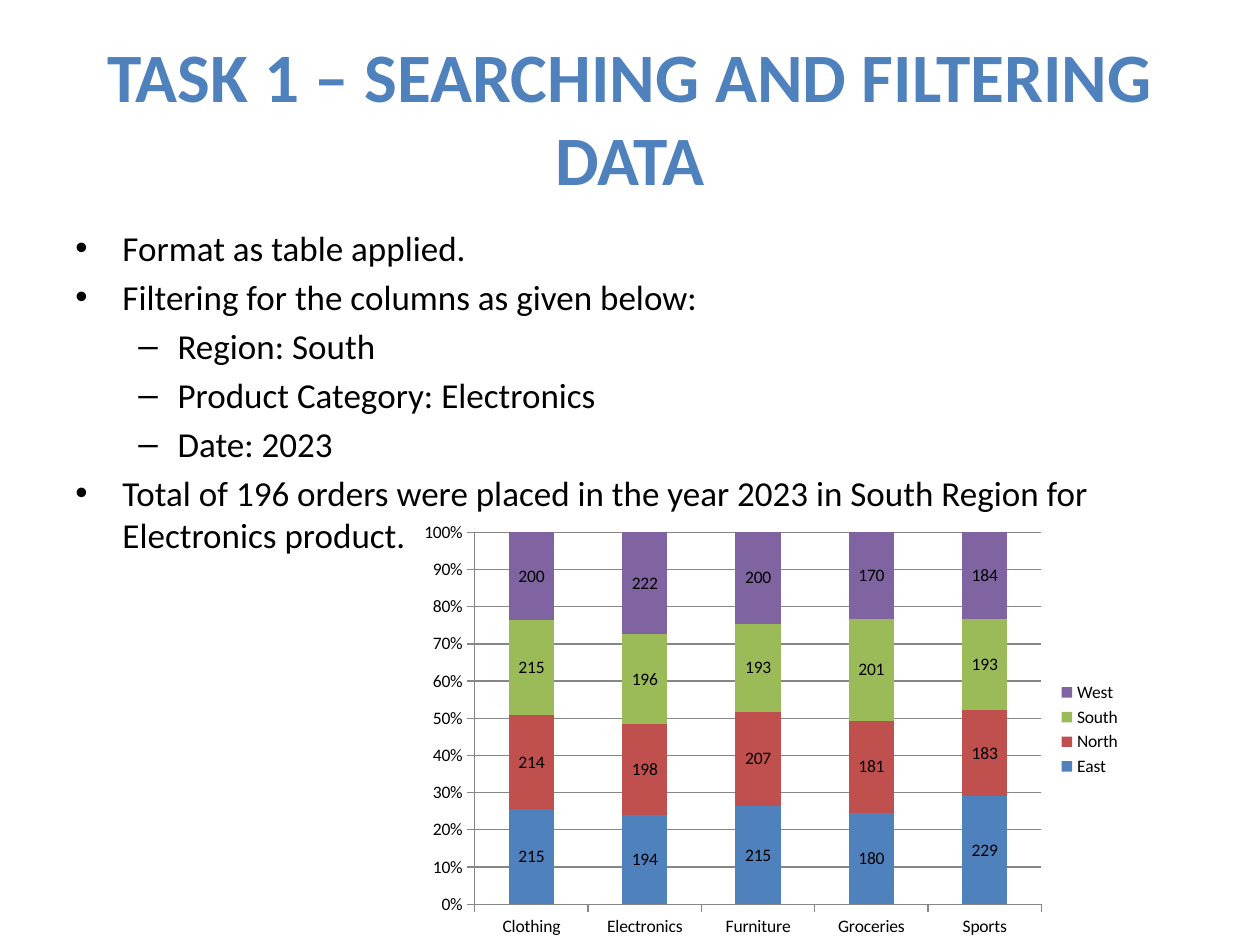
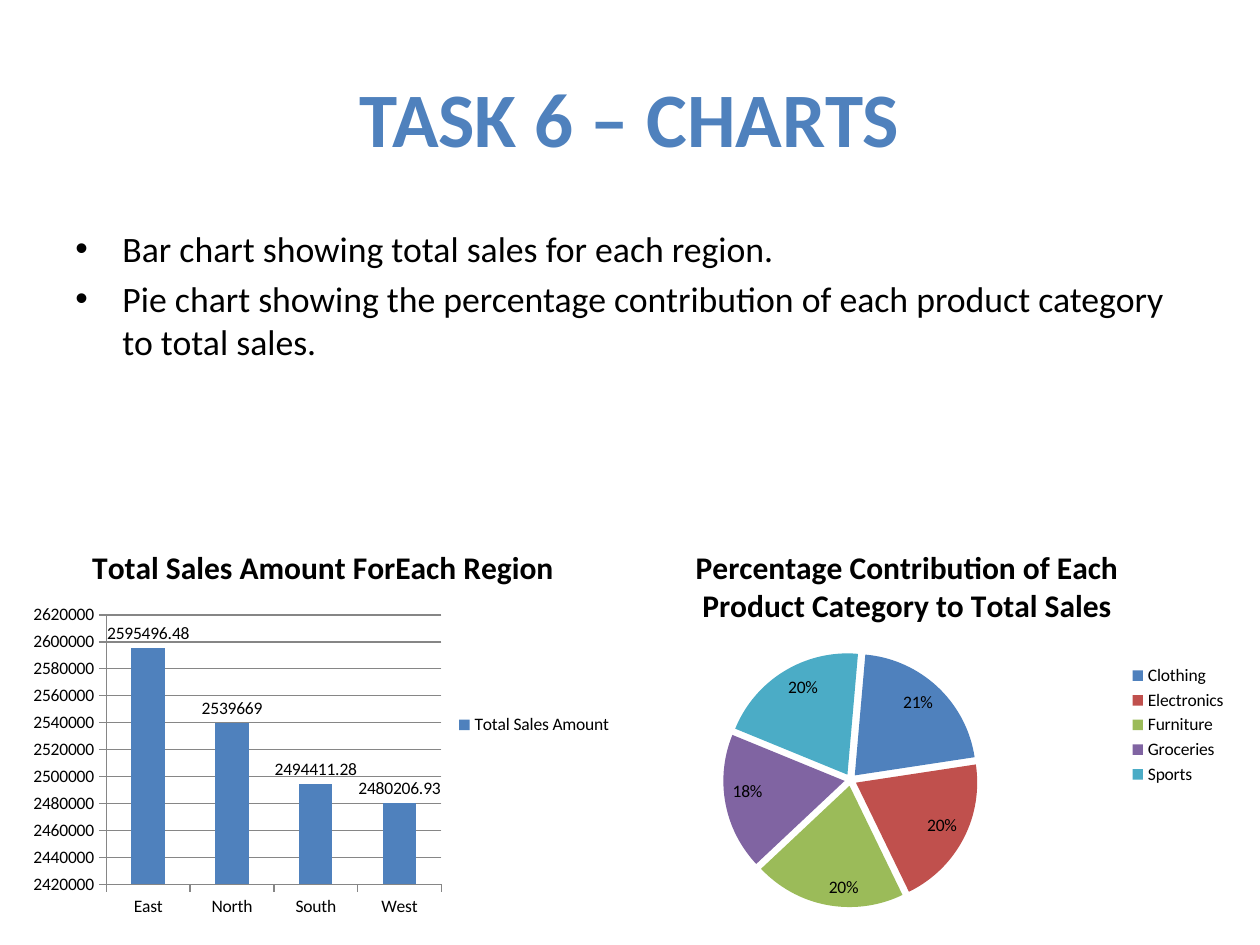
from lxml import etree
from pptx import Presentation
from pptx import util as u
from pptx.chart import data as chart_data
from pptx.dml import color
from pptx.enum import chart as ch
from pptx.enum import text
from pptx.oxml import ns

FONT = "Calibri"
COLOURS = {
    "title": "4F81BD",
    "text": "000000",
    "axis": "868686",
    "blue": "4F81BD",
    "red": "C0504D",
    "green": "9BBB59",
    "purple": "8064A2",
    "teal": "4BACC6",
}
SERIES_COLOURS = ["blue", "red", "green", "purple", "teal"]
CATEGORIES = ["Clothing", "Electronics", "Furniture", "Groceries", "Sports"]
LEFT, WIDTH = u.Cm(1.27), u.Cm(22.86)
# Bullet sign, text indent and hanging part (cm) for each outline level
LEVELS = [("•", 0.95, 0.95), ("–", 2.06, 0.79)]


def rgb(name):
    return color.RGBColor.from_string(COLOURS[name])


def style_font(font, size, colour="text", bold=False):
    font.name = FONT
    font.size = u.Pt(size)
    font.bold = bold
    font.color.rgb = rgb(colour)


def add_run(paragraph, words, size, colour="text", bold=False):
    run = paragraph.add_run()
    run.text = words
    style_font(run.font, size, colour, bold)


def add_text_frame(slide, top, height):
    frame = slide.shapes.add_textbox(LEFT, top, WIDTH, height).text_frame
    frame.word_wrap = True
    return frame


def add_title(slide, words, size):
    frame = add_text_frame(slide, u.Cm(0.76), u.Cm(3.18))
    frame.vertical_anchor = text.MSO_ANCHOR.MIDDLE
    paragraph = frame.paragraphs[0]
    paragraph.alignment = text.PP_ALIGN.CENTER
    add_run(paragraph, words, size, "title", bold=True)


def add_bullets(slide, items, size, height):
    """Items are (level, words) pairs."""
    frame = add_text_frame(slide, u.Cm(4.45), height)
    for index, (level, words) in enumerate(items):
        paragraph = frame.add_paragraph() if index else frame.paragraphs[0]
        paragraph.level = level
        paragraph.space_before = u.Pt(size * 0.2)
        sign, indent, hanging = LEVELS[level]
        properties = paragraph._p.get_or_add_pPr()
        properties.set("marL", str(u.Cm(indent)))
        properties.set("indent", str(-u.Cm(hanging)))
        etree.SubElement(properties, ns.qn("a:buFont"), typeface="Arial")
        etree.SubElement(properties, ns.qn("a:buChar"), char=sign)
        add_run(paragraph, words, size)


def add_chart(slide, kind, place, categories, series, title=None):
    data = chart_data.CategoryChartData()
    data.categories = categories
    for name, values in series.items():
        data.add_series(name, values)
    chart = slide.shapes.add_chart(kind, *map(u.Cm, place), data).chart
    style_font(chart.font, 10)
    chart.has_legend = True
    chart.legend.position = ch.XL_LEGEND_POSITION.RIGHT
    chart.legend.include_in_layout = False
    chart.has_title = title is not None
    if title:
        add_run(chart.chart_title.text_frame.paragraphs[0], title, 18, bold=True)
        chart.chart_title.include_in_layout = False
    return chart


def show_labels(plot, position=None, percent=False):
    plot.has_data_labels = True
    labels = plot.data_labels
    style_font(labels.font, 10)
    labels.show_value = not percent
    labels.show_percentage = percent
    if percent:
        labels.number_format = "0%"
        labels.number_format_is_linked = False
    if position is not None:
        labels.position = position


def fill(part, colour):
    part.format.fill.solid()
    part.format.fill.fore_color.rgb = rgb(colour)


def style_columns(chart, low, high, step, number_format):
    plot = chart.plots[0]
    plot.gap_width = 150
    plot.vary_by_categories = False
    for series, colour in zip(plot.series, SERIES_COLOURS):
        fill(series, colour)
    value_axis = chart.value_axis
    value_axis.minimum_scale, value_axis.maximum_scale = low, high
    value_axis.major_unit = step
    value_axis.tick_labels.number_format = number_format
    value_axis.tick_labels.number_format_is_linked = False
    value_axis.has_major_gridlines = True
    for part in (value_axis, value_axis.major_gridlines, chart.category_axis):
        part.format.line.color.rgb = rgb("axis")
        part.format.line.width = u.Pt(0.75)
    for axis in (value_axis, chart.category_axis):
        axis.major_tick_mark = ch.XL_TICK_MARK.OUTSIDE


def style_pie(chart, start_angle, explosion):
    plot = chart.plots[0]
    plot.vary_by_categories = True
    series = plot.series[0]
    distance = etree.Element(ns.qn("c:explosion"), val=str(explosion))
    series._element.find(ns.qn("c:tx")).addnext(distance)
    for index, colour in enumerate(SERIES_COLOURS):
        fill(series.points[index], colour)
    show_labels(plot, ch.XL_LABEL_POSITION.INSIDE_END, percent=True)
    pie = chart._chartSpace.find(".//" + ns.qn("c:pieChart"))
    for angle in pie.findall(ns.qn("c:firstSliceAng")):
        pie.remove(angle)
    etree.SubElement(pie, ns.qn("c:firstSliceAng"), val=str(start_angle))


def build_filtering_slide(slide):
    add_title(slide, "TASK 1 – SEARCHING AND FILTERING DATA", 39.6)
    add_bullets(slide, [
        (0, "Format as table applied."),
        (0, "Filtering for the columns as given below:"),
        (1, "Region: South"),
        (1, "Product Category: Electronics"),
        (1, "Date: 2023"),
        (0, "Total of 196 orders were placed in the year 2023 in South Region "
            "for Electronics product."),
    ], 20, u.Cm(8.05))
    orders = {
        "East": [215, 194, 215, 180, 229],
        "North": [214, 198, 207, 181, 183],
        "South": [215, 196, 193, 201, 193],
        "West": [200, 222, 200, 170, 184],
    }
    chart = add_chart(slide, ch.XL_CHART_TYPE.COLUMN_STACKED_100,
                      (8.26, 10.36, 14.6, 8.69), CATEGORIES, orders)
    style_columns(chart, 0, 1, 0.1, "0%")
    chart.plots[0].overlap = 100
    show_labels(chart.plots[0])


def build_charts_slide(slide):
    add_title(slide, "TASK 6 – CHARTS", 44)
    sales = {"Total Sales Amount": [2595496.48, 2539669, 2494411.28, 2480206.93]}
    columns = add_chart(slide, ch.XL_CHART_TYPE.COLUMN_CLUSTERED,
                        (0.43, 10.59, 12.17, 8.05),
                        ["East", "North", "South", "West"], sales,
                        "Total Sales Amount ForEach Region")
    style_columns(columns, 2420000, 2620000, 20000, "General")
    show_labels(columns.plots[0], ch.XL_LABEL_POSITION.OUTSIDE_END)
    pie = add_chart(slide, ch.XL_CHART_TYPE.PIE, (11.58, 10.59, 13.41, 8.05),
                    CATEGORIES, {"Series 1": [21, 20, 20, 18, 20]},
                    "Percentage Contribution of Each Product Category to Total Sales")
    style_pie(pie, start_angle=5, explosion=5)
    add_bullets(slide, [
        (0, "Bar chart showing total sales for each region."),
        (0, "Pie chart showing the percentage contribution of each product "
            "category to total sales."),
    ], 20.4, u.Cm(2.54))


def main():
    presentation = Presentation()
    presentation.slide_width, presentation.slide_height = u.Cm(25.4), u.Cm(19.05)
    blank = presentation.slide_layouts[6]
    for build in (build_filtering_slide, build_charts_slide):
        build(presentation.slides.add_slide(blank))
    presentation.save("out.pptx")


if __name__ == "__main__":
    main()
